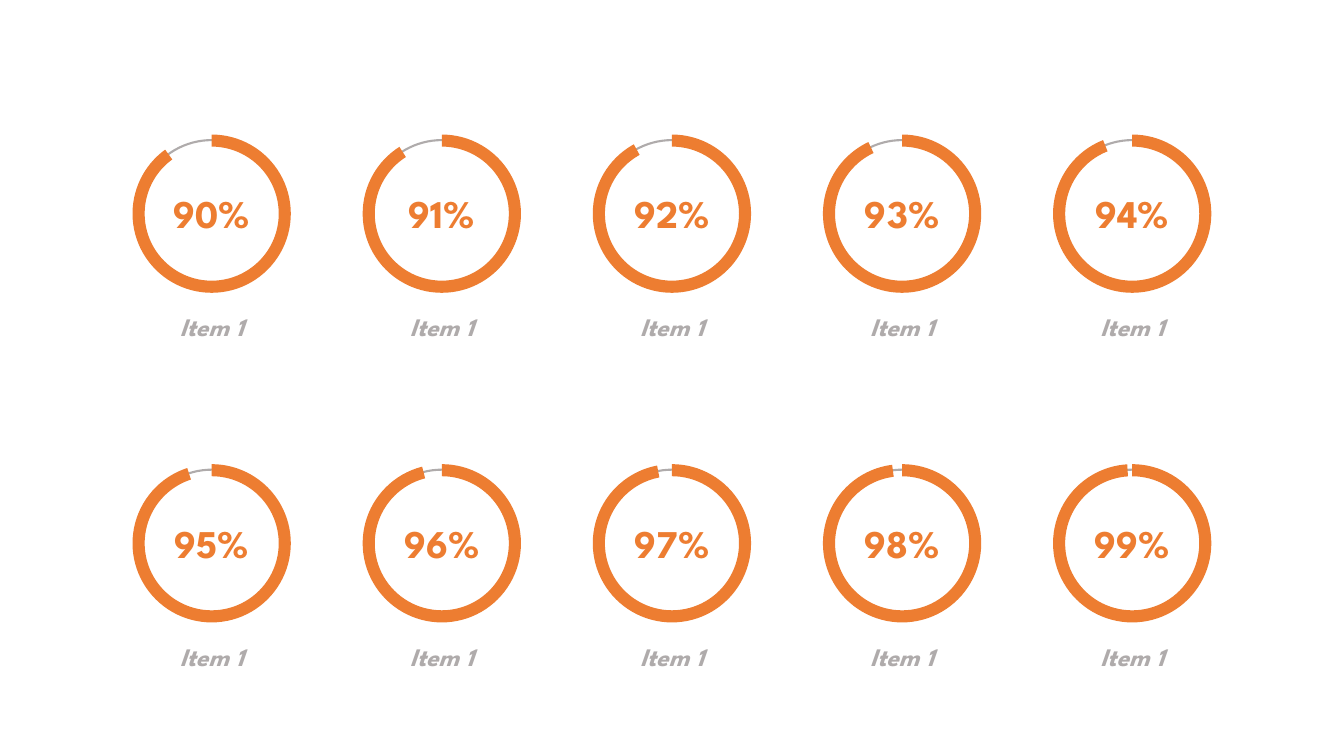
from dataclasses import dataclass

from pptx import Presentation
from pptx.dml.color import RGBColor
from pptx.enum.shapes import MSO_SHAPE
from pptx.enum.text import MSO_AUTO_SIZE, PP_ALIGN
from pptx.util import Inches, Pt


@dataclass(frozen=True)
class Theme:
    font: str = "League Spartan"
    accent: RGBColor = RGBColor(0xED, 0x7D, 0x31)
    muted: RGBColor = RGBColor(0xAF, 0xAB, 0xAB)
    value_size: Pt = Pt(28)
    label_size: Pt = Pt(18)
    track_width: Pt = Pt(1.5)


class SlideBuilder:
    def __init__(self, slide, theme):
        self.s = slide
        self.theme = theme

    def circle(self, shapes, kind, cx, cy, size):
        sp = shapes.add_shape(kind, Inches(cx - size / 2), Inches(cy - size / 2),
                              Inches(size), Inches(size))
        sp.shadow.inherit = False
        return sp

    def track(self, shapes, cx, cy, size):
        sp = self.circle(shapes, MSO_SHAPE.OVAL, cx, cy, size)
        sp.fill.background()
        sp.line.color.rgb = self.theme.muted
        sp.line.width = self.theme.track_width

    def arc(self, shapes, cx, cy, size, thickness, percent):
        sp = self.circle(shapes, MSO_SHAPE.BLOCK_ARC, cx, cy, size)
        sp.fill.solid()
        sp.fill.fore_color.rgb = self.theme.accent
        sp.line.fill.background()
        # Angles run clockwise from three o'clock, in 60000ths of a degree
        end = (270 + 3.6 * percent) % 360
        sp.adjustments[0] = 270 * 60000 / 100000
        sp.adjustments[1] = end * 60000 / 100000
        sp.adjustments[2] = thickness / size

    def text(self, shapes, text, cx, top, width, height, size, color, italic=False):
        sp = shapes.add_textbox(Inches(cx - width / 2), Inches(top),
                                Inches(width), Inches(height))
        tf = sp.text_frame
        tf.word_wrap = True
        tf.auto_size = MSO_AUTO_SIZE.SHAPE_TO_FIT_TEXT
        p = tf.paragraphs[0]
        p.text = text
        p.alignment = PP_ALIGN.CENTER
        p.font.name = self.theme.font
        p.font.size = size
        p.font.bold = True
        p.font.italic = italic
        p.font.color.rgb = color

    def gauge(self, cx, cy, percent, label):
        t = self.theme
        shapes = self.s.shapes.add_group_shape().shapes
        self.track(shapes, cx, cy, 1.46)
        self.text(shapes, f"{percent}%", cx, cy - 0.29, 1.5, 0.57,
                  t.value_size, t.accent)
        self.text(shapes, label, cx, cy + 0.92, 2.24, 0.4,
                  t.label_size, t.muted, italic=True)
        self.arc(shapes, cx, cy, 1.57, 0.12, percent)


def main():
    prs = Presentation()
    prs.slide_width = Inches(13.33)
    prs.slide_height = Inches(7.5)
    builder = SlideBuilder(prs.slides.add_slide(prs.slide_layouts[6]), Theme())

    # Two rows of five gauges, 90% to 99%
    columns = 5
    first_x, last_x = 2.1, 11.23
    first_y, row_pitch = 2.12, 3.27
    column_pitch = (last_x - first_x) / (columns - 1)
    for i, percent in enumerate(range(90, 100)):
        row, column = divmod(i, columns)
        builder.gauge(first_x + column * column_pitch, first_y + row * row_pitch,
                      percent, "Item 1")

    prs.save("out.pptx")


if __name__ == "__main__":
    main()
